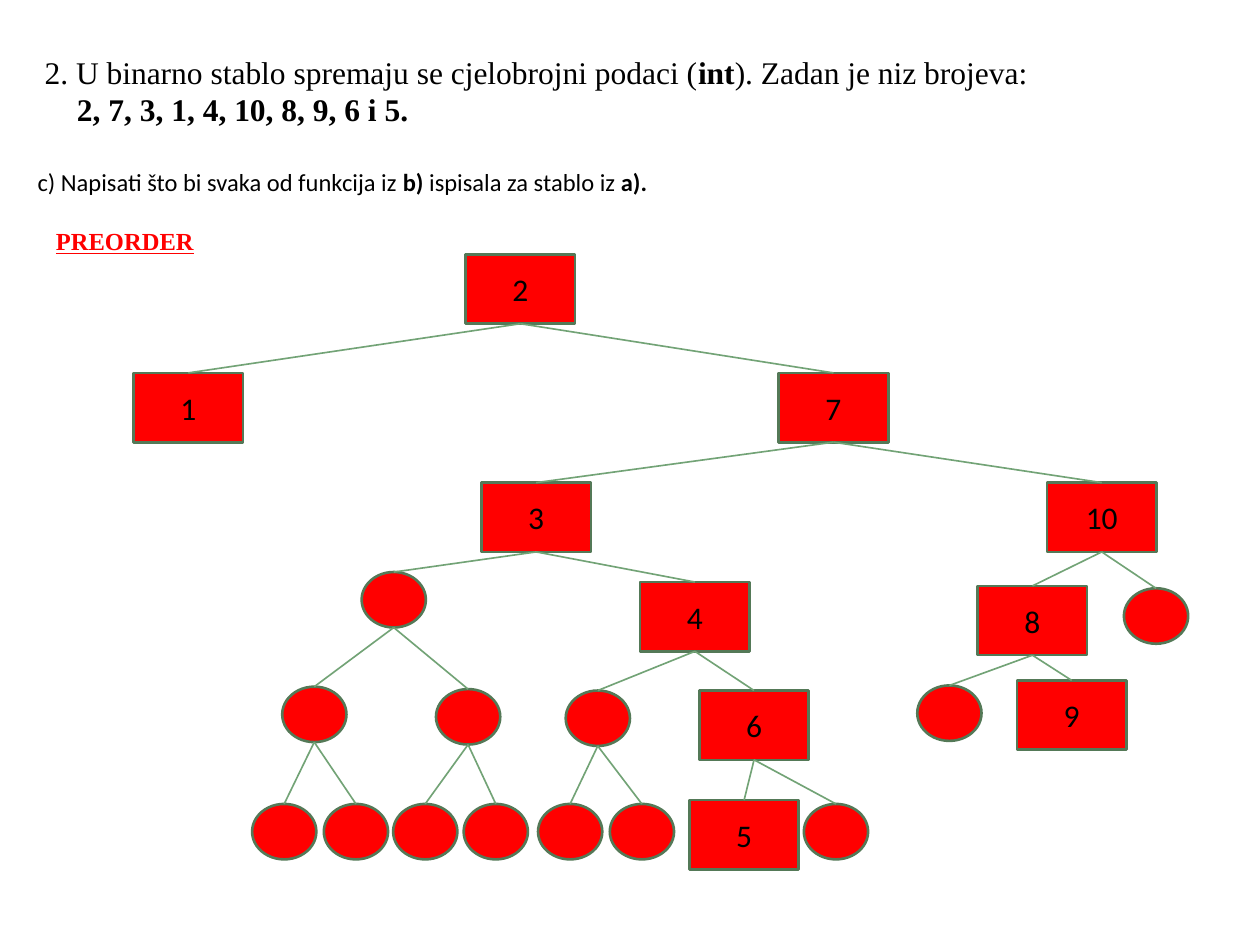
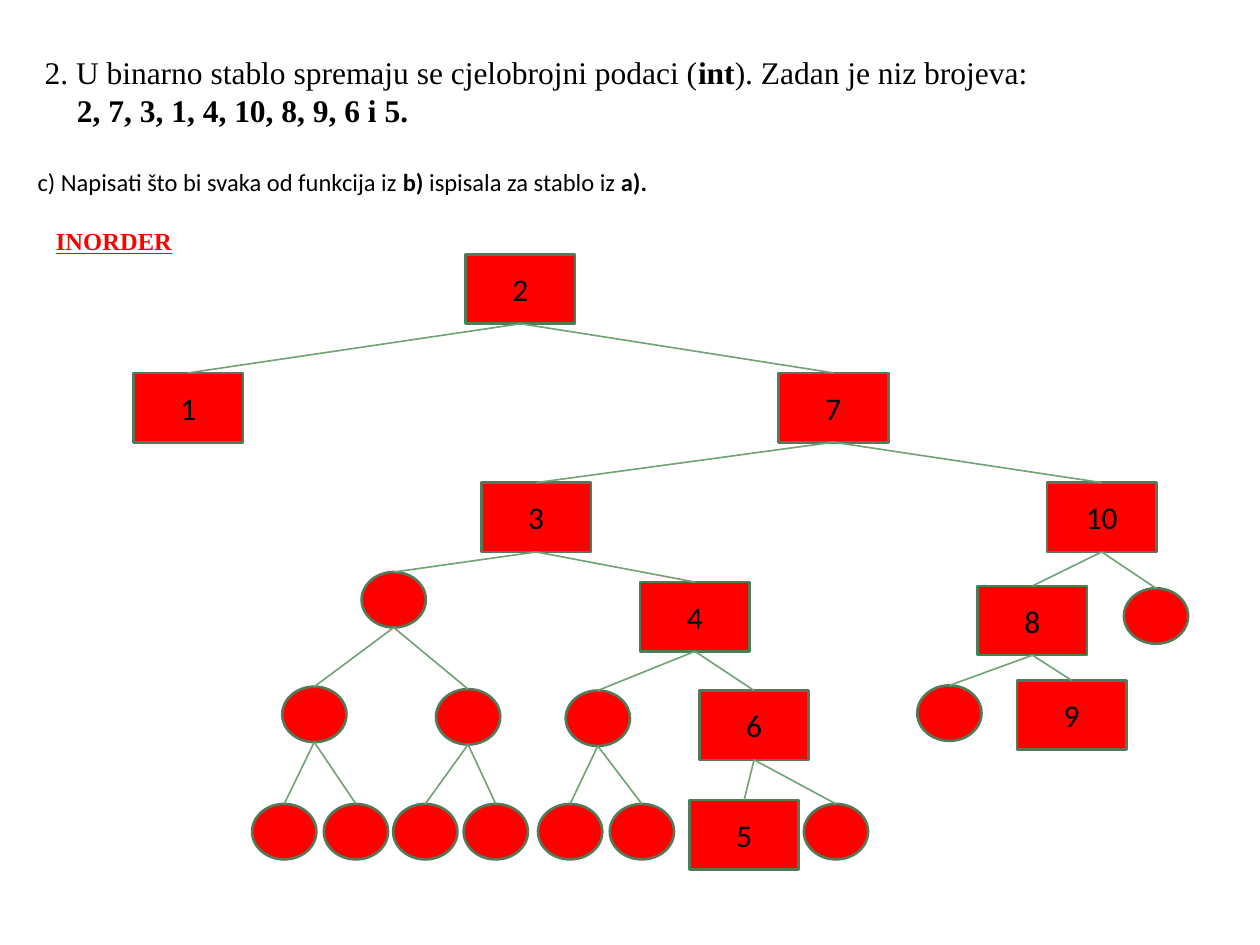
from collections import namedtuple
from dataclasses import dataclass

from lxml.etree import SubElement
from pptx import Presentation
from pptx.dml.color import RGBColor as Rgb
from pptx.enum.shapes import MSO_CONNECTOR as Connector, MSO_SHAPE as Shape
from pptx.enum.text import MSO_ANCHOR as Anchor, PP_ALIGN as Align
from pptx.oxml.ns import qn
from pptx.util import Pt


@dataclass(frozen=True)
class Theme:
    """Colours, fonts, type sizes and element sizes, in points."""
    ink: Rgb = Rgb(0, 0, 0)
    red: Rgb = Rgb(255, 0, 0)
    border: Rgb = Rgb.from_string("547957")
    branch: Rgb = Rgb.from_string("72A376")
    sans: str = "Calibri"
    serif: str = "Times New Roman"
    large: int = 18
    small: int = 14
    border_width: float = 1.5
    branch_width: float = 0.94
    value_size: tuple = (62.6, 39.6)
    empty_size: tuple = (36.7, 31.7)


Node = namedtuple("Node", "value center top children", defaults=[()])

LEAF_TOP = 459.4


def leaf(center):
    """Return an empty node of the lowest row."""
    return Node("", center, LEAF_TOP)


LEFT_OF_THREE = Node("", 225, 326.9, (
    Node("", 179.6, 392.4, (leaf(162.4), leaf(203.4))),
    Node("", 267.5, 393.8, (leaf(243), leaf(283.3)))))
FOUR = Node("4", 397.1, 332.6, (
    Node("", 341.6, 394.6, (leaf(325.8), leaf(366.8))),
    Node("6", 430.9, 394.6, (Node("5", 425.2, 457.2), leaf(477.7)))))
EIGHT = Node("8", 590, 334.8, (
    Node("", 542.5, 391.7), Node("9", 612.4, 388.8)))
TREE = Node("2", 297.4, 145.4, (
    Node("1", 107.6, 213.1),
    Node("7", 476.3, 213.1, (
        Node("3", 306.4, 275.8, (LEFT_OF_THREE, FOUR)),
        Node("10", 629.6, 275.8, (EIGHT, Node("", 660.6, 336.2)))))))


def write(paragraph, text, *, font, size, color, bold=False, underline=False):
    """Append one formatted run to a paragraph."""
    run = paragraph.add_run()
    run.text = text
    style = run.font
    style.name, style.size, style.bold = font, Pt(size), bold
    style.underline = underline or None
    style.color.rgb = color


class Deck:
    """Holds the style and the current slide."""

    def __init__(self, theme):
        """Start an empty 10 by 7.5 inch deck."""
        self.theme = theme
        self.presentation = Presentation()
        self.presentation.slide_width = Pt(720)
        self.presentation.slide_height = Pt(540)
        self.slide = None

    def new_slide(self):
        """Add a blank slide and make it current."""
        blank = self.presentation.slide_layouts[6]
        self.slide = self.presentation.slides.add_slide(blank)

    def task(self, traversal, height):
        """Write the task with the name of the traversal below it."""
        theme = self.theme
        frame = self.slide.shapes.add_textbox(
            Pt(14.4), Pt(26.6), Pt(674.6), Pt(height)).text_frame
        frame.word_wrap = True
        heading = dict(font=theme.serif, size=theme.large, color=theme.ink)
        question = dict(font=theme.sans, size=theme.small, color=theme.ink)
        label = dict(font=theme.serif, size=theme.small, color=theme.red, underline=True)
        lines = [
            (4, 0, heading, [
                ("2. U binarno stablo spremaju se cjelobrojni podaci (", False),
                ("int", True), ("). Zadan je niz brojeva:", False)]),
            (22.5, 0, heading, [("2, 7, 3, 1, 4, 10, 8, 9, 6 i 5.", True)]),
            (0, 22, question, [
                ("c) Napisati što bi svaka od funkcija iz ", False), ("b) ", True),
                ("ispisala za stablo iz ", False), ("a).", True)]),
            (10.5, 17, label, [(traversal, True)]),
        ]
        for index, (indent, gap, style, runs) in enumerate(lines):
            paragraph = frame.add_paragraph() if index else frame.paragraphs[0]
            paragraph._p.get_or_add_pPr().set("marL", str(Pt(indent)))
            if gap:
                paragraph.space_before = Pt(gap)
            for text, bold in runs:
                write(paragraph, text, bold=bold, **style)

    def size(self, node):
        """Return the width and height of a node."""
        return self.theme.value_size if node.value else self.theme.empty_size

    def node(self, node):
        """Draw a value as a rectangle and an empty node as an ellipse."""
        theme = self.theme
        width, height = self.size(node)
        shape = self.slide.shapes.add_shape(
            Shape.RECTANGLE if node.value else Shape.OVAL,
            Pt(node.center - width / 2), Pt(node.top), Pt(width), Pt(height))
        shape.shadow.inherit = False
        shape.fill.solid()
        shape.fill.fore_color.rgb = theme.red
        shape.line.color.rgb = theme.border
        shape.line.width = Pt(theme.border_width)
        if node.value:
            shape.text_frame.vertical_anchor = Anchor.MIDDLE
            paragraph = shape.text_frame.paragraphs[0]
            paragraph.alignment = Align.CENTER
            write(paragraph, node.value, font=theme.sans, size=theme.large, color=theme.ink)

    def branch(self, parent, child):
        """Join the bottom of a parent to the top of its child."""
        bottom = parent.top + self.size(parent)[1]
        line = self.slide.shapes.add_connector(
            Connector.STRAIGHT, Pt(parent.center), Pt(bottom), Pt(child.center), Pt(child.top))
        line.line.color.rgb = self.theme.branch
        line.line.width = Pt(self.theme.branch_width)
        SubElement(line._element.spPr, qn("a:effectLst"))

    def tree(self, root):
        """Draw a node, its subtrees and the branches to them."""
        self.node(root)
        for child in root.children:
            self.tree(child)
            self.branch(root, child)


def main():
    """Build one slide for each traversal."""
    deck = Deck(Theme())
    for traversal, task_height in (("PREORDER", 242.6), ("INORDER", 123.8)):
        deck.new_slide()
        deck.task(traversal, task_height)
        deck.tree(TREE)
    deck.presentation.save("out.pptx")


if __name__ == "__main__":
    main()
